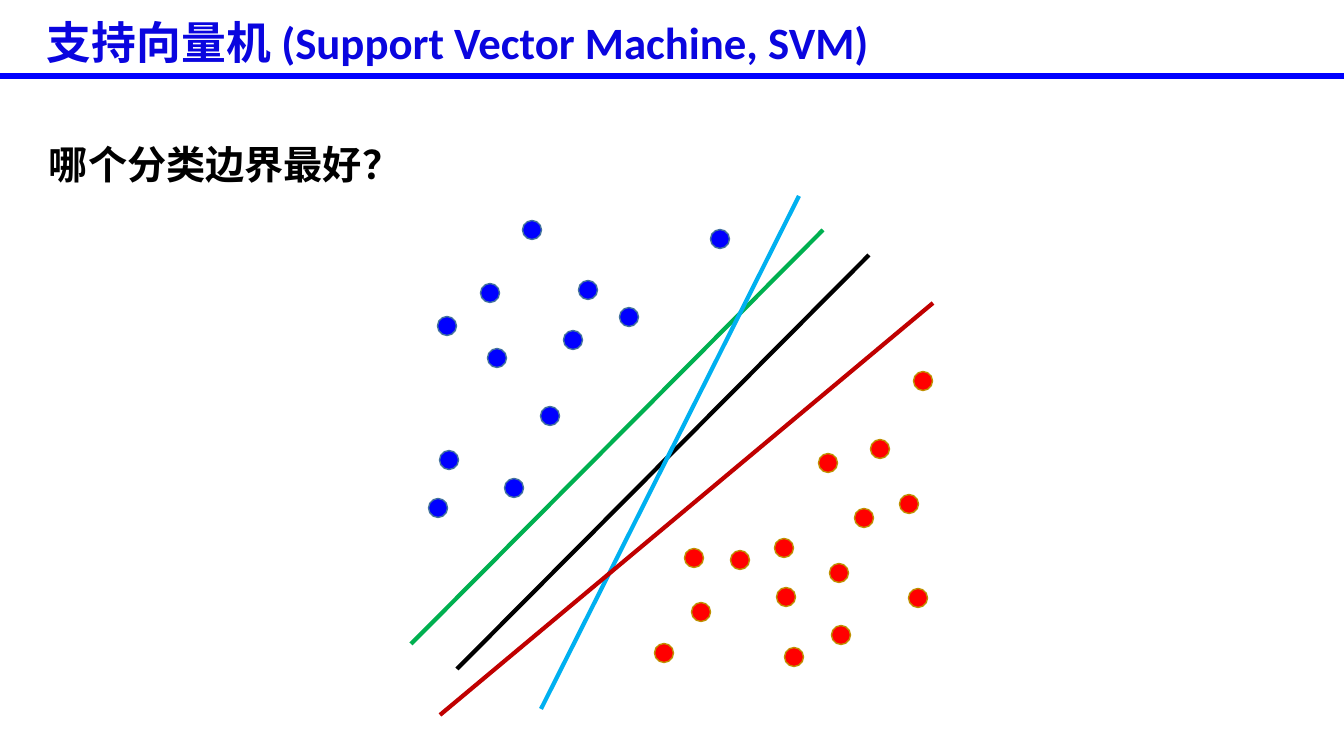
from dataclasses import dataclass

import pptx
import pptx.dml.color
import pptx.enum.shapes
import pptx.enum.text
import pptx.oxml.ns
import pptx.oxml.xmlchemy
import pptx.shapes.shapetree
import pptx.util

EMU_PER_PX = 914400 / 100.8
DOT_SIZE = 19
CJK_FONT = "Noto Sans CJK SC"


@dataclass(frozen=True)
class DotClass:
    fill: str
    outline: str
    centres: list[tuple[int, int]]


@dataclass(frozen=True)
class Line:
    start: tuple[int, int]
    end: tuple[int, int]
    color: str
    width: int = 3


@dataclass(frozen=True)
class Label:
    text: str
    box: tuple[int, int, int, int]
    font: str
    size: int
    color: str
    line_spacing: float
    anchor: pptx.enum.text.MSO_ANCHOR


DOT_CLASSES = [
    DotClass("0000FF", "43739E", [
        (447, 326), (438, 508), (720, 239), (514, 488), (629, 317), (573, 340),
        (497, 358), (588, 290), (449, 460), (532, 230), (550, 416), (490, 293),
    ]),
    DotClass("FF0000", "BF9000", [
        (918, 598), (664, 653), (701, 612), (694, 558), (740, 560), (841, 635),
        (794, 657), (786, 597), (923, 381), (864, 518), (909, 504), (828, 463),
        (784, 548), (880, 449), (839, 573),
    ]),
]
BOUNDARIES = [
    Line((823, 230), (411, 644), "00B050"),
    Line((869, 255), (457, 669), "000000"),
    Line((799, 196), (541, 709), "00B0F0"),
    Line((933, 303), (440, 715), "C00000"),
]
TITLE_RULE = Line((0, 76), (1344, 76), "0000FF", 4)
LABELS = [
    Label("哪个分类边界最好？", (39, 112, 732, 78), CJK_FONT, 28, "000000", 1.5,
          pptx.enum.text.MSO_ANCHOR.TOP),
    Label("支持向量机 (Support Vector Machine, SVM)", (37, 14, 1159, 62), "Calibri", 32,
          "0A05DF", 0.9, pptx.enum.text.MSO_ANCHOR.MIDDLE),
]


def px(n: int) -> int:
    return pptx.util.Emu(round(n * EMU_PER_PX))


def rgb(color: str) -> pptx.dml.color.RGBColor:
    return pptx.dml.color.RGBColor.from_string(color)


def add_dots(shapes: pptx.shapes.shapetree.GroupShapes, dots: DotClass) -> None:
    size = px(DOT_SIZE)
    for x, y in dots.centres:
        sp = shapes.add_shape(
            pptx.enum.shapes.MSO_SHAPE.FLOWCHART_CONNECTOR,
            px(x) - size // 2, px(y) - size // 2, size, size)
        sp.shadow.inherit = False
        sp.fill.solid()
        sp.fill.fore_color.rgb = rgb(dots.fill)
        sp.line.color.rgb = rgb(dots.outline)
        sp.line.width = pptx.util.Pt(1)


def add_line(shapes: pptx.shapes.shapetree.GroupShapes | pptx.shapes.shapetree.SlideShapes,
             line: Line) -> None:
    cxn = shapes.add_connector(pptx.enum.shapes.MSO_CONNECTOR.STRAIGHT,
                               *map(px, line.start + line.end))
    cxn.line.color.rgb = rgb(line.color)
    cxn.line.width = pptx.util.Pt(line.width)
    cxn._element.spPr.append(pptx.oxml.xmlchemy.OxmlElement("a:effectLst"))


def add_label(shapes: pptx.shapes.shapetree.SlideShapes, label: Label) -> None:
    tf = shapes.add_textbox(*map(px, label.box)).text_frame
    tf.word_wrap = True
    tf.vertical_anchor = label.anchor
    p = tf.paragraphs[0]
    p.line_spacing = label.line_spacing
    r = p.add_run()
    r.text = label.text
    r.font.name = label.font
    r.font.size = pptx.util.Pt(label.size)
    r.font.bold = True
    r.font.color.rgb = rgb(label.color)
    ea = pptx.oxml.xmlchemy.OxmlElement("a:ea")
    ea.set("typeface", CJK_FONT)
    r._r.get_or_add_rPr().find(pptx.oxml.ns.qn("a:latin")).addnext(ea)


def main() -> None:
    prs = pptx.Presentation()
    prs.slide_width, prs.slide_height = px(1344), px(756)
    s = prs.slides.add_slide(prs.slide_layouts[6])
    plot = s.shapes.add_group_shape()
    for dots in DOT_CLASSES:
        add_dots(plot.shapes, dots)
    for boundary in BOUNDARIES:
        add_line(plot.shapes, boundary)
    add_line(s.shapes, TITLE_RULE)
    for label in LABELS:
        add_label(s.shapes, label)
    prs.save("out.pptx")


if __name__ == "__main__":
    main()
